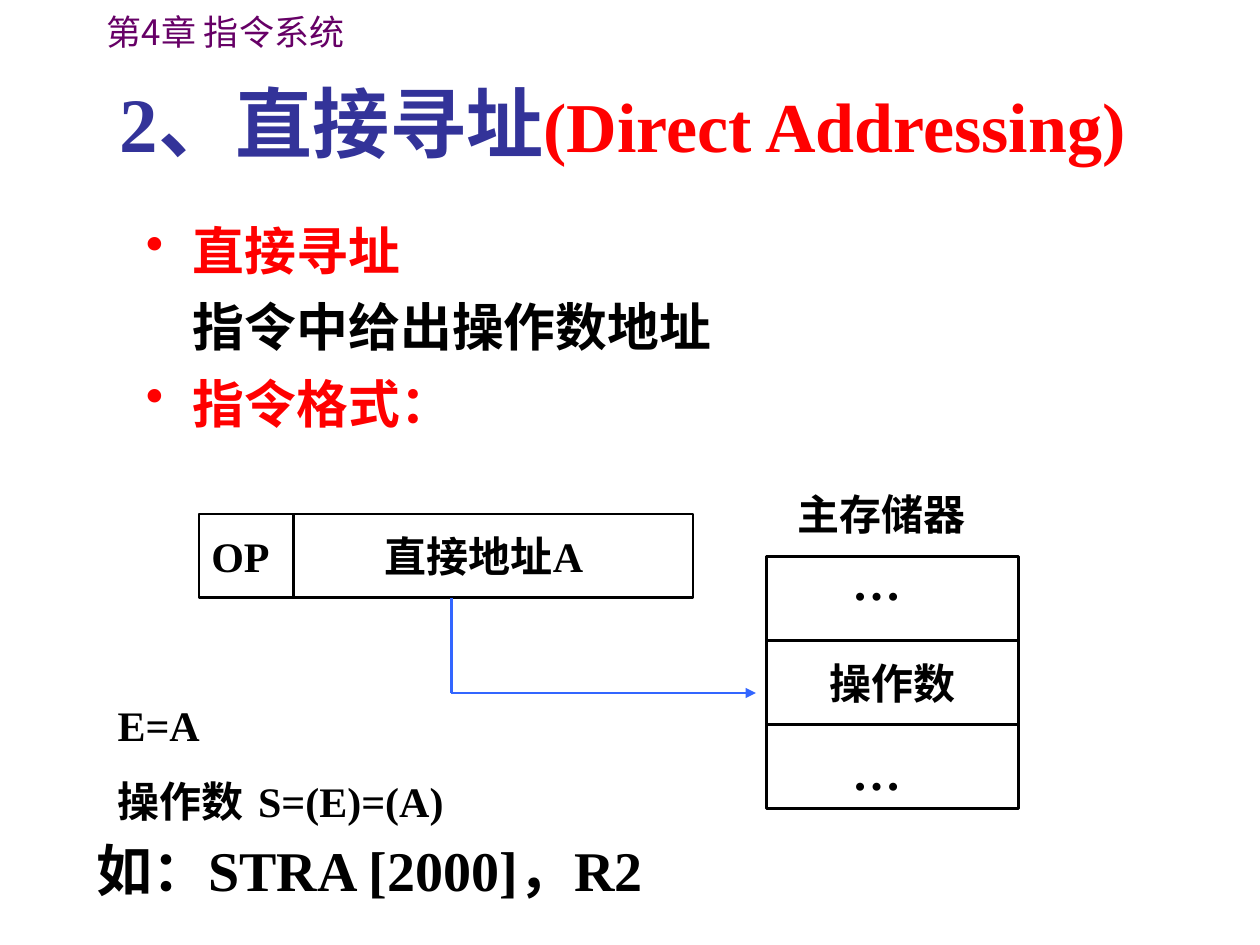
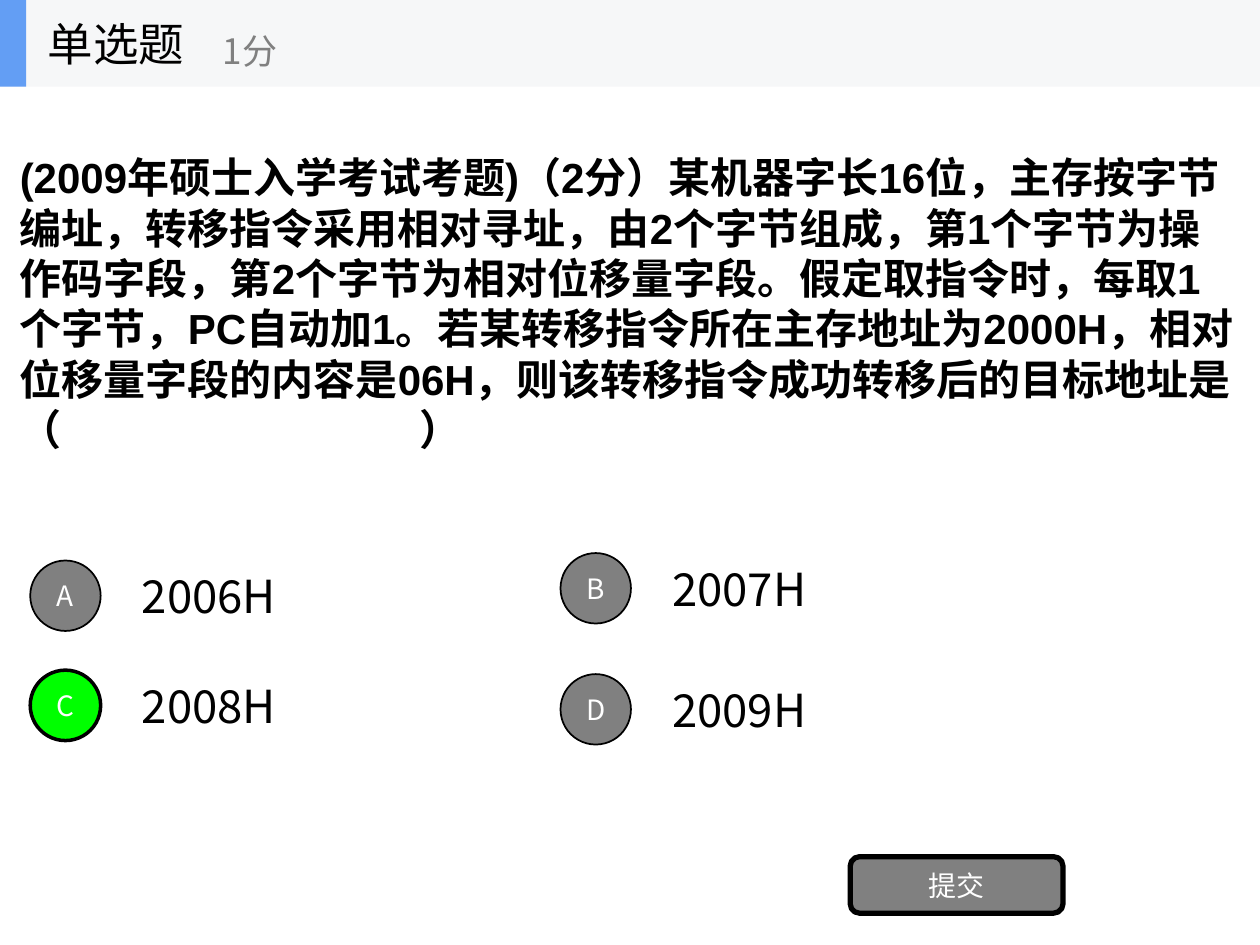
from lxml import etree
from pptx import Presentation
from pptx import util as u
from pptx.dml.color import RGBColor
from pptx.enum import shapes, text
from pptx.oxml.ns import qn

COLORS = {
    "black": "000000", "white": "FFFFFF", "red": "FF0000", "navy": "333399",
    "purple": "660066", "arrow": "3366FF", "grey": "808080",
    "green": "00FF00", "band": "F6F7F8", "accent": "639EF4",
}
SERIF, SANS, CJK, FALLBACK = "Times New Roman", "Arial", "Noto Sans CJK SC", "DejaVu Sans"
CENTER = text.PP_ALIGN.CENTER
MIDDLE, TOP = text.MSO_ANCHOR.MIDDLE, text.MSO_ANCHOR.TOP
SHAPE = shapes.MSO_SHAPE

# Content: a paragraph is a string or a list of (text, colour, size) runs
CHAPTER = "第4章 指令系统"
ADDRESSING_TITLE = [("2、直接寻址", "navy", 44), ("(Direct Addressing)", "red", 40)]
POINTS = [  # text, colour, bulleted
    ("直接寻址", "red", True),
    ("指令中给出操作数地址", "black", False),
    ("指令格式：", "red", True),
]
INSTRUCTION = "OP\t直接地址A"
MEMORY_TITLE = "主存储器"
MEMORY_CELL = "操作数"
FORMULAS = ["E=A", "操作数 S=(E)=(A)"]
EXAMPLE = "如：STRA [2000]，R2"

QUESTION_TYPE, QUESTION_POINTS = "单选题", "1分"
QUESTION = (
    "(2009年硕士入学考试考题)（2分）某机器字长16位，主存按字节编址，"
    "转移指令采用相对寻址，由2个字节组成，第1个字节为操作码字段，"
    "第2个字节为相对位移量字段。假定取指令时，每取1个字节，PC自动加1。"
    "若某转移指令所在主存地址为2000H，相对位移量字段的内容是06H，"
    "则该转移指令成功转移后的目标地址是（\t）"
)
OPTIONS = [  # letter, answer, left and top of the badge in cm
    ("A", "2006H", 0.61, 11.3),
    ("B", "2007H", 11.3, 11.15),
    ("C", "2008H", 0.61, 13.51),
    ("D", "2009H", 11.3, 13.59),
]
CORRECT = "C"
SUBMIT = "提交"


def rgb(name):
    return RGBColor.from_string(COLORS[name])


def place(shape, box):
    shape.left, shape.top, shape.width, shape.height = map(u.Cm, box)


def add_child(parent, tag, **attributes):
    return etree.SubElement(parent, qn(tag), attributes)


def add_bullet(paragraph, color):
    properties = paragraph._p.get_or_add_pPr()
    properties.set("marL", str(u.Cm(0.95)))
    properties.set("indent", str(-u.Cm(0.95)))
    add_child(add_child(properties, "a:buClr"), "a:srgbClr", val=COLORS[color])
    add_child(properties, "a:buChar", char="•")


def add_tab_stop(paragraph, position):
    tabs = add_child(paragraph._p.get_or_add_pPr(), "a:tabLst")
    add_child(tabs, "a:tab", pos=str(u.Cm(position)), algn="l")


def write(shape, paragraphs, size, font, color="black", bold=False, align=text.PP_ALIGN.LEFT,
          anchor=TOP, wrap=True, gap=0, tab=None):
    """Fill the shape with paragraphs, gap points apart."""
    frame = shape.text_frame
    frame.auto_size = text.MSO_AUTO_SIZE.NONE
    frame.word_wrap = wrap
    frame.vertical_anchor = anchor
    for index, content in enumerate(paragraphs):
        paragraph = frame.add_paragraph() if index else frame.paragraphs[0]
        paragraph.alignment = align
        paragraph.space_before = u.Pt(gap if index else 0)
        if tab:
            add_tab_stop(paragraph, tab)
        runs = [(content, color, size)] if isinstance(content, str) else content
        for run_text, run_color, run_size in runs:
            run = paragraph.add_run()
            run.text = run_text
            run.font.size = u.Pt(run_size)
            run.font.name = font
            run.font.bold = bold
            run.font.color.rgb = rgb(run_color)
            add_child(run.font._element, "a:ea", typeface=CJK if font == CJK else FALLBACK)
    return frame


def add_text(slide, box, paragraphs, size, font, **style):
    return write(slide.shapes.add_textbox(*map(u.Cm, box)), paragraphs, size, font, **style)


def add_box(slide, box, fill, line_width=0, kind=SHAPE.RECTANGLE):
    shape = slide.shapes.add_shape(kind, *map(u.Cm, box))
    shape.shadow.inherit = False
    shape.fill.solid()
    shape.fill.fore_color.rgb = rgb(fill)
    if line_width:
        shape.line.color.rgb = rgb("black")
        shape.line.width = u.Pt(line_width)
    else:
        shape.line.fill.background()
    return shape


def add_line(slide, start, end, color="black", arrow=False):
    line = slide.shapes.add_connector(shapes.MSO_CONNECTOR.STRAIGHT, *map(u.Cm, start + end))
    line.line.color.rgb = rgb(color)
    line.line.width = u.Pt(1.5)
    if arrow:
        add_child(line.line._get_or_add_ln(), "a:tailEnd", type="triangle")
    add_child(line._element.spPr, "a:effectLst")


def draw_instruction(slide):
    left, top, width, height = box = (4.01, 10.36, 9.96, 1.69)
    write(add_box(slide, box, "white", 1.5), [INSTRUCTION], 24, SERIF,
          bold=True, anchor=MIDDLE, tab=3.5)
    divider = left + 1.91
    add_line(slide, (divider, top), (divider, top + height))
    corner = (9.1, 13.97)
    add_line(slide, (corner[0], top + height), corner, "arrow")
    add_line(slide, corner, (15.24, corner[1]), "arrow", arrow=True)


def draw_memory(slide):
    left, top, side = 15.45, 11.22, 5.08
    write(add_box(slide, (left, top, side, side), "white", 1.5), [MEMORY_CELL], 24, FALLBACK,
          bold=True, align=CENTER, anchor=MIDDLE)
    for row in (1, 2):
        y = top + side * row / 3
        add_line(slide, (left, y), (left + side, y))
    write(add_box(slide, (14.39, 9.73, 6.77, 1.27), "white"), [MEMORY_TITLE], 24, FALLBACK,
          bold=True, align=CENTER)
    for dots_top in (11.0, 14.82):
        add_text(slide, (16.93, dots_top, 4.4, 1.45), ["…"], 28, SERIF, bold=True)


def build_addressing(slide):
    add_text(slide, (1.9, 0.08, 7.8, 1.12), [CHAPTER], 20, CJK, color="purple")
    place(slide.shapes.title, (0, 1.4, 25.1, 2.11))
    write(slide.shapes.title, [ADDRESSING_TITLE], 44, SERIF, bold=True,
          align=CENTER, anchor=MIDDLE)
    lines = [[(point, color, 29.6)] for point, color, _ in POINTS]
    frame = add_text(slide, (2.69, 4.29, 21.23, 4.67), lines, 29.6, SERIF, bold=True, gap=8)
    for paragraph, (_, color, bulleted) in zip(frame.paragraphs, POINTS):
        if bulleted:
            add_bullet(paragraph, color)
        else:
            paragraph._p.get_or_add_pPr().set("marL", str(u.Cm(0.95)))
    draw_instruction(slide)
    draw_memory(slide)
    add_text(slide, (1.69, 16.72, 13.12, 1.63), [EXAMPLE], 32, SERIF, bold=True)
    add_text(slide, (2.12, 13.97, 10.16, 2.82), FORMULAS, 24, SERIF, bold=True, gap=15)


def draw_option(slide, letter, answer, left, top):
    size = 1.42
    fill, width = ("green", 2) if letter == CORRECT else ("grey", 1)
    badge = add_box(slide, (left, top, size, size), fill, width, SHAPE.OVAL)
    write(badge, [letter], 16, CJK, color="white", align=CENTER, anchor=MIDDLE)
    add_text(slide, (left + 2, top - 0.18, 8.2, size + 0.36), [answer], 26, CJK, anchor=MIDDLE)


def build_question(slide):
    add_text(slide, (0.15, 2.92, 25.1, 6.37), [QUESTION], 24, SANS, bold=True,
             anchor=MIDDLE, tab=8.06)
    for option in OPTIONS:
        draw_option(slide, *option)
    button = add_box(slide, (17.14, 17.27, 4.29, 1.14), "grey", 3, SHAPE.ROUNDED_RECTANGLE)
    write(button, [SUBMIT], 16, CJK, color="white", align=CENTER, anchor=MIDDLE)

    band_height = 1.75
    add_box(slide, (0, 0, 25.4, band_height), "band")
    add_box(slide, (0, 0, 0.53, band_height), "accent")
    title = slide.shapes.title
    place(title, (0.71, 0, 5.28, band_height))
    write(title, [QUESTION_TYPE], 26, CJK, anchor=MIDDLE, wrap=False)
    slide.shapes.element.append(title.element)  # bring the title in front of the band
    add_text(slide, (4.24, 0.31, 6.35, 1.42), [QUESTION_POINTS], 20, CJK, color="grey",
             anchor=MIDDLE, wrap=False)


def main():
    presentation = Presentation()
    presentation.slide_width, presentation.slide_height = u.Cm(25.4), u.Cm(19.05)
    title_only = presentation.slide_layouts[5]
    for build in (build_addressing, build_question):
        build(presentation.slides.add_slide(title_only))
    presentation.save("out.pptx")


if __name__ == "__main__":
    main()
